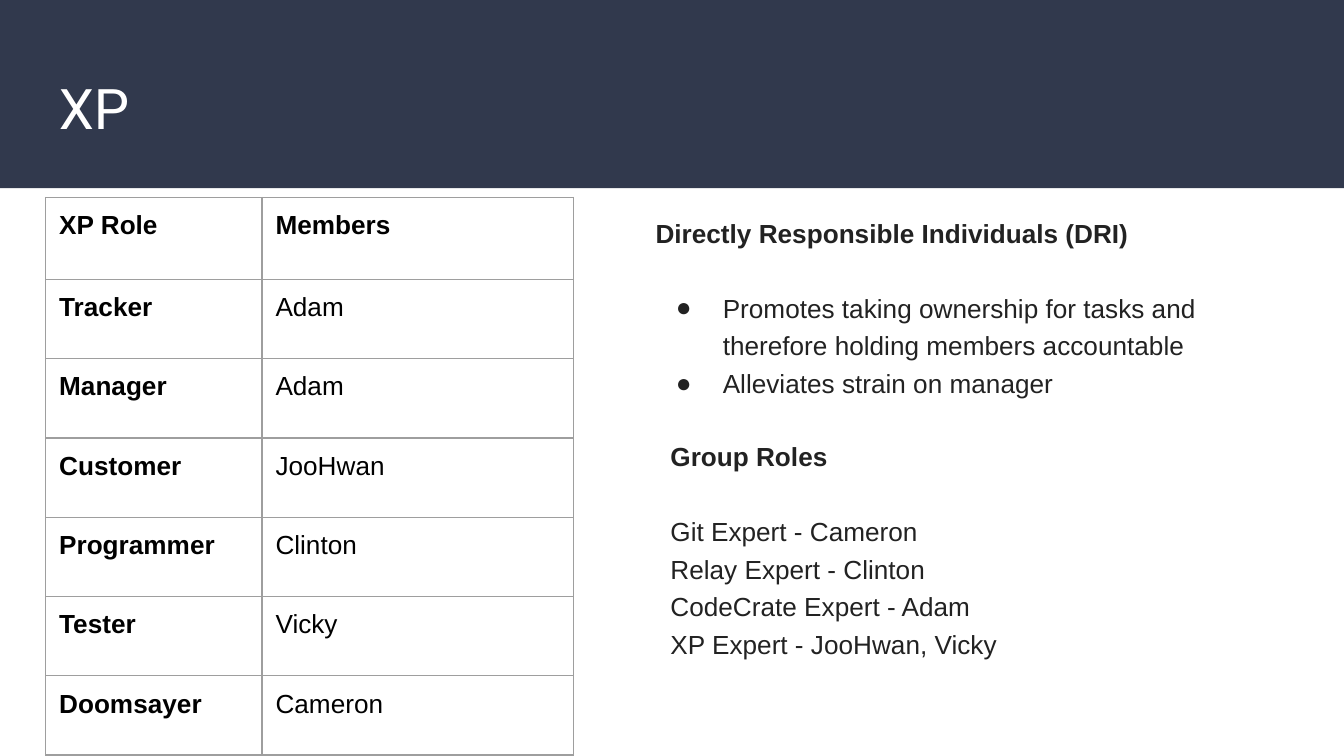
from copy import deepcopy
from lxml.etree import SubElement as Sub
from pptx import Presentation
from pptx.dml.color import RGBColor as Rgb
from pptx.enum.shapes import MSO_SHAPE as Shape
from pptx.oxml.ns import qn
from pptx.util import Inches, Pt

COLORS = {"band": "31394D", "title": "FFFFFF", "body": "222222",
          "cell": "000000", "grid": "9E9E9E"}
PAD = Inches(0.1)
WIDTH = 10
HEIGHT = WIDTH * 9 / 16
ROLES = [("XP Role", "Members"), ("Tracker", "Adam"), ("Manager", "Adam"),
         ("Customer", "JooHwan"), ("Programmer", "Clinton"),
         ("Tester", "Vicky"), ("Doomsayer", "Cameron")]

# Each paragraph: text, bold, bulleted, points before
DUTIES = [
    ("Directly Responsible Individuals (DRI)", True, False, 0),
    ("Promotes taking ownership for tasks and therefore holding members "
     "accountable", False, True, 20),
    ("Alleviates strain on manager", False, True, 0),
]
EXPERTS = [
    ("Group Roles", True, False, 0),
    ("Git Expert - Cameron\nRelay Expert - Clinton\n"
     "CodeCrate Expert - Adam\nXP Expert - JooHwan, Vicky", False, False, 20),
]


def put(item, **values):
    for name, value in values.items():
        setattr(item, name, value)


def write(para, text, color, size=14, bold=False, face="Arial"):
    for i, line in enumerate(text.split("\n")):
        if i:
            # The break keeps the size of the line before it
            Sub(para._p, qn("a:br")).append(deepcopy(run._r.rPr))
        run = para.add_run()
        run.text = line
        put(run.font, size=Pt(size), bold=bold, name=face)
        run.font.color.rgb = Rgb.from_string(COLORS[color])


def add_band(slide):
    band = slide.shapes.add_shape(
        Shape.RECTANGLE, 0, 0, Inches(WIDTH), Inches(1.4))
    band.shadow.inherit = False
    band.fill.solid()
    band.fill.fore_color.rgb = Rgb.from_string(COLORS["band"])
    band.line.fill.background()


def add_box(slide, *place):
    frame = slide.shapes.add_textbox(*map(Inches, place)).text_frame
    put(frame, word_wrap=True, margin_left=PAD, margin_right=PAD,
        margin_top=PAD, margin_bottom=PAD)
    return frame


def add_bullet(para):
    props = para._p.get_or_add_pPr()
    props.set("marL", str(Inches(0.5)))
    props.set("indent", str(Inches(-0.35)))
    tint = Sub(props, qn("a:buClr"))
    Sub(tint, qn("a:srgbClr"), val=COLORS["body"])
    Sub(props, qn("a:buSzPts"), val="1400")
    Sub(props, qn("a:buFont"), typeface="Arial")
    Sub(props, qn("a:buChar"), char="●")


def add_notes(slide, left, top, paras):
    frame = add_box(slide, left, top, 4.37, 2.21)
    for i, (text, bold, dot, gap) in enumerate(paras):
        para = frame.add_paragraph() if i else frame.paragraphs[0]
        if dot:
            add_bullet(para)
        para.line_spacing = 1.2
        if gap:
            para.space_before = Pt(gap)
        write(para, text, "body", bold=bold)


def add_edges(cell):
    props = cell._tc.get_or_add_tcPr()
    for side in "LRTB":
        edge = Sub(props, qn(f"a:ln{side}"), w=str(Pt(0.75)))
        fill = Sub(edge, qn("a:solidFill"))
        Sub(fill, qn("a:srgbClr"), val=COLORS["grid"])


def add_roles(slide):
    table = slide.shapes.add_table(
        len(ROLES), 2, Inches(0.34), Inches(1.47),
        Inches(3.93), Inches(4.15)).table
    put(table, first_row=False, horz_banding=False)
    for col, width in zip(table.columns, (1.61, 2.32)):
        col.width = Inches(width)
    for r, names in enumerate(ROLES):
        table.rows[r].height = Inches(0.59 if r else 0.61)
        for c, name in enumerate(names):
            cell = table.cell(r, c)
            put(cell, margin_left=PAD, margin_right=PAD,
                margin_top=PAD, margin_bottom=PAD)
            add_edges(cell)
            cell.fill.background()
            write(cell.text_frame.paragraphs[0], name, "cell",
                  bold=r == 0 or c == 0)


def main():
    deck = Presentation()
    put(deck, slide_width=Inches(WIDTH), slide_height=Inches(HEIGHT))
    slide = deck.slides.add_slide(deck.slide_layouts[6])

    # Header band
    add_band(slide)

    # Notes on the right, roles on the left
    add_notes(slide, 4.78, 1.47, DUTIES)
    add_roles(slide)
    add_notes(slide, 4.89, 3.13, EXPERTS)

    # Title
    title = add_box(slide, 0.34, 0.45, 9.32, 0.66)
    write(title.paragraphs[0], "XP", "title", size=30, face="Roboto")

    deck.save("out.pptx")


if __name__ == "__main__":
    main()
